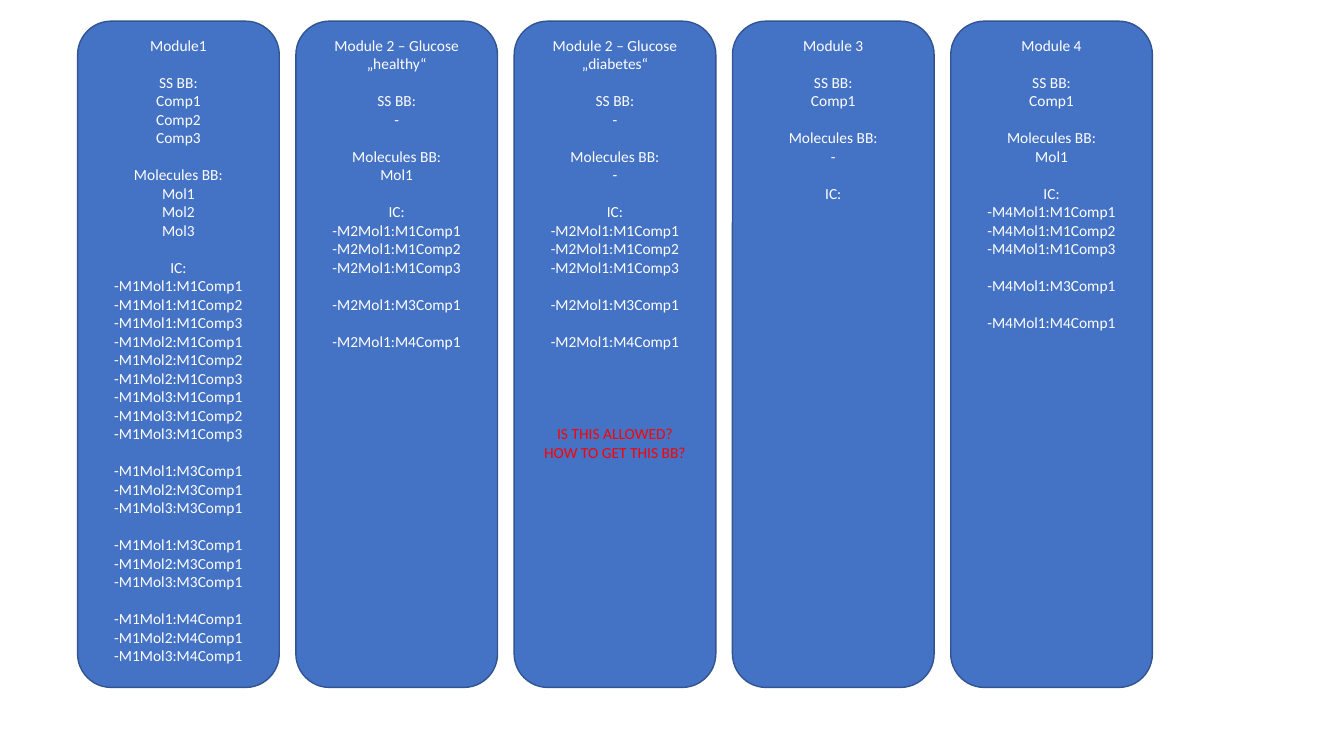
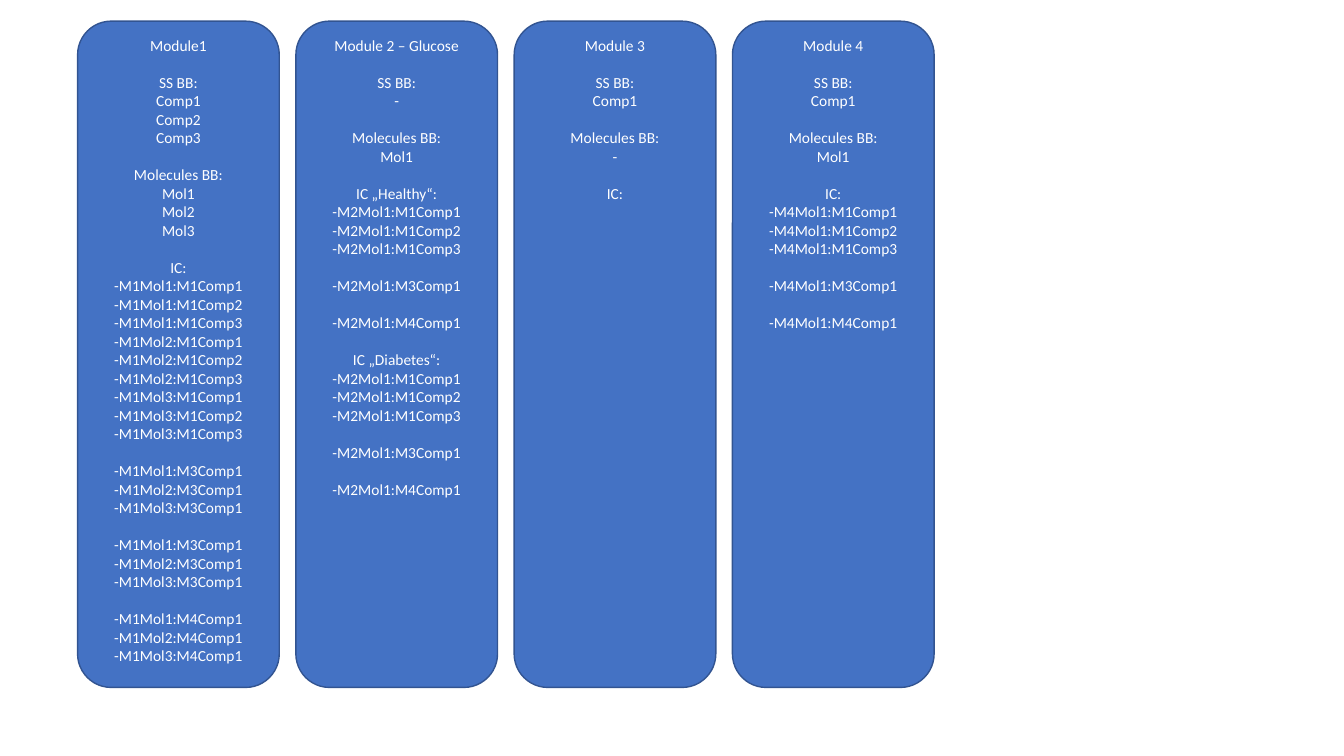
from pptx import Presentation
from pptx.dml.color import RGBColor
from pptx.enum.shapes import MSO_SHAPE as SHAPE
from pptx.enum.text import MSO_ANCHOR as ANCHOR, PP_ALIGN as ALIGN
from pptx.util import Inches, Pt

# Shared style
FILL, OUTLINE, TEXT, WARNING = "4472C4", "325491", "FFFFFF", "FF0000"
FONT = {"name": "Calibri", "size": Pt(11)}
LINE_PITCH = 13.2
TOP, WIDTH, HEIGHT = 0.21, 2, 6.61
FIRST_LEFT, LAST_LEFT, COLUMNS = 0.77, 9.43, 5
PITCH = (LAST_LEFT - FIRST_LEFT) / (COLUMNS - 1)


def pairs(module, mols, target, comps):
    """List every molecule-to-component interaction, molecule by molecule."""
    return [f"-M{module}Mol{m}:M{target}Comp{c}"
            for m in range(1, mols + 1) for c in range(1, comps + 1)]


def single_mol(module, heading="IC:"):
    """Interaction groups of a module with one molecule."""
    return [[heading, *pairs(module, 1, 1, 3)],
            pairs(module, 1, 3, 1), pairs(module, 1, 4, 1)]


# Content: each module is a list of line groups, set apart by one line
MODULE_1 = [
    ["Module1"],
    ["SS BB:", "Comp1", "Comp2", "Comp3"],
    ["Molecules BB:", "Mol1", "Mol2", "Mol3"],
    ["IC:", *pairs(1, 3, 1, 3)],
    pairs(1, 3, 3, 1),
    pairs(1, 3, 3, 1),
    pairs(1, 3, 4, 1),
]
NO_SS, MOL_1 = ["SS BB:", "-"], ["Molecules BB:", "Mol1"]
SS_1, NO_MOL = ["SS BB:", "Comp1"], ["Molecules BB:", "-"]
HEALTHY = [["Module 2 – Glucose „healthy“"], NO_SS, MOL_1, *single_mol(2)]
DIABETES = [["Module 2 – Glucose „diabetes“"], NO_SS, NO_MOL, *single_mol(2)]
GLUCOSE = [["Module 2 – Glucose"], NO_SS, MOL_1,
           *single_mol(2, "IC „Healthy“:"), *single_mol(2, "IC „Diabetes“:")]
MODULE_3 = [["Module 3"], SS_1, NO_MOL, ["IC:"]]
MODULE_4 = [["Module 4"], SS_1, MOL_1, *single_mol(4)]
QUESTION = ["IS THIS ALLOWED?", "HOW TO GET THIS BB?"]

# Slides: (module, closing question) from left to right
SLIDES = [
    [(MODULE_1, []), (HEALTHY, []), (DIABETES, QUESTION),
     (MODULE_3, []), (MODULE_4, [])],
    [(MODULE_1, []), (GLUCOSE, []), (MODULE_3, []), (MODULE_4, [])],
]


def rgb(value):
    return RGBColor.from_string(value)


def add_group(tf, lines, color, blank_lines):
    """Write one group of lines, leaving room above it."""
    for i, line in enumerate(lines):
        p = tf.paragraphs[0] if not tf.text else tf.add_paragraph()
        p.alignment = ALIGN.CENTER
        if i == 0 and blank_lines:
            p.space_before = Pt(blank_lines * LINE_PITCH)
        r = p.add_run()
        r.text = line
        for key, value in FONT.items():
            setattr(r.font, key, value)
        r.font.color.rgb = rgb(color)


def add_module(s, column, groups, question):
    sp = s.shapes.add_shape(
        SHAPE.ROUNDED_RECTANGLE, Inches(FIRST_LEFT + column * PITCH),
        Inches(TOP), Inches(WIDTH), Inches(HEIGHT))
    sp.shadow.inherit = False
    sp.fill.solid()
    sp.fill.fore_color.rgb = rgb(FILL)
    sp.line.color.rgb = rgb(OUTLINE)
    sp.line.width = Pt(1)
    tf = sp.text_frame
    tf.word_wrap = True
    tf.vertical_anchor = ANCHOR.TOP
    for i, lines in enumerate(groups):
        add_group(tf, lines, TEXT, 1 if i else 0)
    add_group(tf, question, WARNING, 4)


def main():
    prs = Presentation()
    prs.slide_width, prs.slide_height = Inches(13.33), Inches(7.5)
    for modules in SLIDES:
        s = prs.slides.add_slide(prs.slide_layouts[6])
        for column, (groups, question) in enumerate(modules):
            add_module(s, column, groups, question)
    prs.save("out.pptx")


if __name__ == "__main__":
    main()
